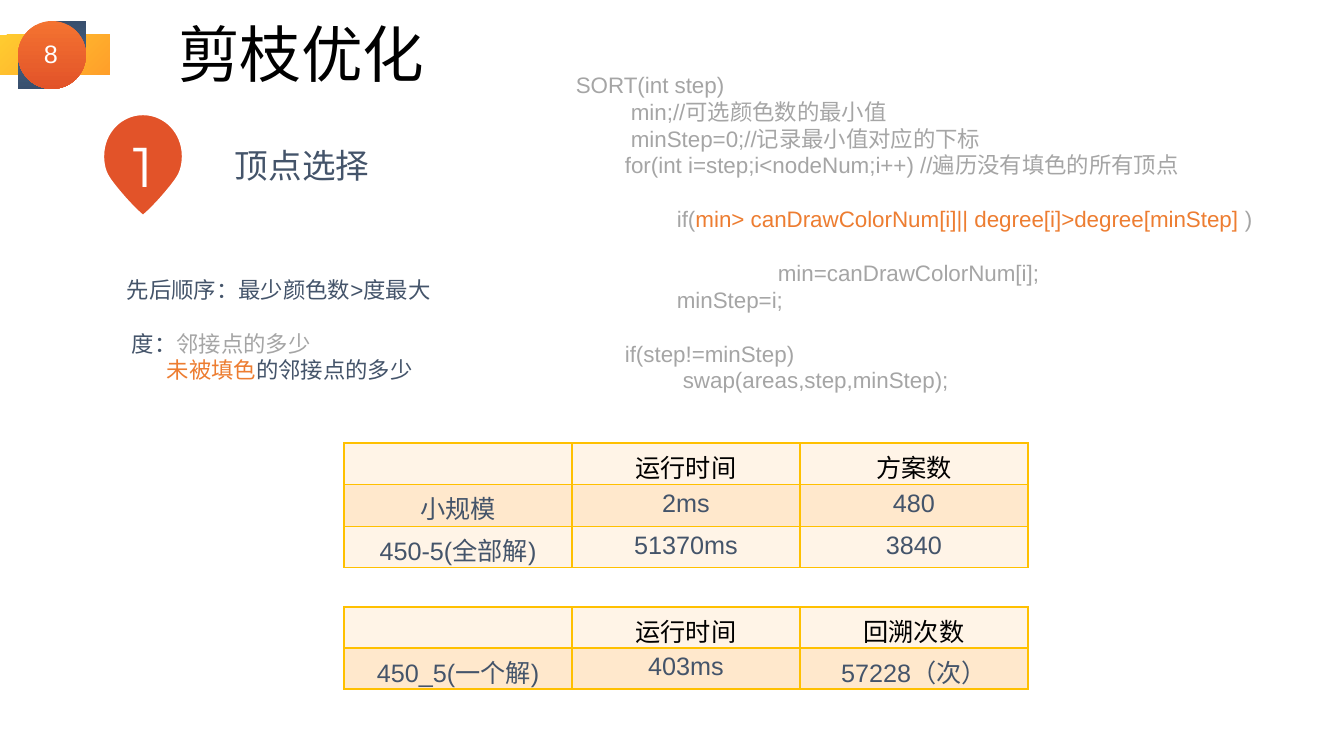
from dataclasses import dataclass

from lxml import etree
from pptx import Presentation
from pptx.dml.color import RGBColor
from pptx.enum.shapes import MSO_SHAPE
from pptx.enum.text import MSO_ANCHOR, PP_ALIGN
from pptx.oxml.ns import qn
from pptx.util import Pt

PX = 914400 / 100.8
RECTANGLE, TEAR, OVAL = MSO_SHAPE.RECTANGLE, MSO_SHAPE.TEAR, MSO_SHAPE.OVAL
LEFT, CENTER = PP_ALIGN.LEFT, PP_ALIGN.CENTER
TOP, MIDDLE = MSO_ANCHOR.TOP, MSO_ANCHOR.MIDDLE


@dataclass(frozen=True)
class Theme:
    font: str = "Arial"
    numeral_font: str = "Montserrat"
    black: str = "000000"
    white: str = "FFFFFF"
    slate: str = "44546A"
    gray: str = "A5A5A5"
    orange: str = "ED7D31"
    pin: str = "E25329"
    border: str = "FFC000"
    bands: tuple = ("FFF4E7", "FFE8CC")
    ribbon: tuple = ("FFCC30", "FF9F2A")
    navy: tuple = ("384F6E", "4A6C90")
    disc: tuple = ("F47331", "E25329")
    title: int = 44
    numeral: int = 40
    heading: int = 24
    table: int = 18
    body: int = 16
    body_line: float = 19.2


THEME = Theme()

# Each line: indent in px, blank lines above, then (text, colour) runs.
CODE_LINES = [
    (0, 0, [("SORT(int step)", THEME.gray)]),
    (55, 0, [("min;//可选颜色数的最小值", THEME.gray)]),
    (55, 0, [("minStep=0;//记录最小值对应的下标", THEME.gray)]),
    (49, 0, [("for(int i=step;i<nodeNum;i++) //遍历没有填色的所有顶点", THEME.gray)]),
    (101, 1, [("if(", THEME.gray),
              ("min> canDrawColorNum[i]|| degree[i]>degree[minStep] ", THEME.orange),
              (")", THEME.gray)]),
    (202, 1, [("min=canDrawColorNum[i];", THEME.gray)]),
    (101, 0, [("minStep=i;", THEME.gray)]),
    (49, 1, [("if(step!=minStep)", THEME.gray)]),
    (107, 0, [("swap(areas,step,minStep);", THEME.gray)]),
]
ORDER_LINES = [
    (0, 0, [("先后顺序：最少颜色数>度最大", THEME.slate)]),
    (5, 1, [("度：", THEME.slate), ("邻接点的多少", THEME.gray)]),
    (40, 0, [("未被填色", THEME.orange), ("的邻接点的多少", THEME.slate)]),
]
ALL_SOLUTIONS = [
    ("", "运行时间", "方案数"),
    ("小规模", "2ms", "480"),
    ("450-5(全部解)", "51370ms", "3840"),
]
ONE_SOLUTION = [
    ("", "运行时间", "回溯次数"),
    ("450_5(一个解)", "403ms", "57228（次）"),
]


def px(length):
    return round(length * PX)


def emu(box):
    return [px(length) for length in box]


def rgb(color):
    return RGBColor.from_string(color)


def style(paragraph, size, color, alignment=LEFT, font=THEME.font):
    paragraph.alignment = alignment
    paragraph.font.name = font
    paragraph.font.size = Pt(size)
    paragraph.font.color.rgb = rgb(color)


def write(shape, text, size, color, alignment=LEFT, font=THEME.font, anchor=TOP):
    frame = shape.text_frame
    frame.word_wrap = False
    frame.vertical_anchor = anchor
    frame.text = text
    style(frame.paragraphs[0], size, color, alignment, font)


def add_gradient_shape(slide, kind, box, colors, angle, rotation=0):
    shape = slide.shapes.add_shape(kind, *emu(box))
    shape.shadow.inherit = False
    shape.rotation = rotation
    shape.line.fill.background()
    shape.fill.gradient()
    shape.fill.gradient_angle = 360 - angle
    for stop, color in zip(shape.fill.gradient_stops, colors):
        stop.color.rgb = rgb(color)


def add_page_badge(slide, box, number):
    left, top, width, height = box
    add_gradient_shape(slide, RECTANGLE, (left, top + 14, width, 40), THEME.ribbon, 45)
    add_gradient_shape(slide, TEAR, (left + 28, top, 58, 58), THEME.navy, 90)
    add_gradient_shape(slide, TEAR, (left + 18, top + 10, 58, 58), THEME.navy, 90, 180)
    add_gradient_shape(slide, OVAL, (left + 18, top, height, height), THEME.disc, 90)
    label = slide.shapes.add_textbox(*emu((left + 25, top + 12, 52, 40)))
    write(label, number, THEME.table, THEME.white, CENTER)


def add_title(slide, box, text):
    title = slide.shapes.title
    title.left, title.top, title.width, title.height = emu(box)
    write(title, text, THEME.title, THEME.black)


def curve_points(start, first, second, end, steps=16):
    for step in range(1, steps + 1):
        t = step / steps
        weights = ((1 - t) ** 3, 3 * t * (1 - t) ** 2, 3 * t * t * (1 - t), t ** 3)
        yield tuple(sum(w * point[axis] for w, point in
                        zip(weights, (start, first, second, end))) for axis in (0, 1))


def add_pin(slide, box, numeral):
    left, top, width, _ = box
    controls = [(43, 0), (67, 0), (86, 20), (86, 45), (86, 54), (84, 62), (80, 68),
                (76, 75), (56, 99), (43, 109)]
    right_side = [point for i in range(0, 9, 3) for point in curve_points(*controls[i:i + 4])]
    left_side = [(width - x, y) for x, y in reversed(right_side[:-1])]
    outline = [emu((left + x, top + y)) for x, y in right_side + left_side]
    builder = slide.shapes.build_freeform(px(left + 43), px(top))
    builder.add_line_segments(outline, close=True)
    pin = builder.convert_to_shape()
    pin.shadow.inherit = False
    pin.fill.solid()
    pin.fill.fore_color.rgb = rgb(THEME.pin)
    pin.line.color.rgb = rgb(THEME.white)
    pin.line.width = Pt(6)
    write(pin, numeral, THEME.numeral, THEME.white, CENTER, THEME.numeral_font, MIDDLE)


def add_heading(slide, box, text):
    heading = slide.shapes.add_textbox(*emu(box))
    write(heading, text, THEME.heading, THEME.slate)


def add_lines(slide, box, lines):
    frame = slide.shapes.add_textbox(*emu(box)).text_frame
    frame.word_wrap = True
    for index, (indent, blanks, runs) in enumerate(lines):
        paragraph = frame.add_paragraph() if index else frame.paragraphs[0]
        style(paragraph, THEME.body, runs[0][1])
        paragraph.line_spacing = Pt(THEME.body_line)
        paragraph.space_before = Pt(blanks * THEME.body_line)
        paragraph._p.get_or_add_pPr().set("marL", str(px(indent)))
        for text, color in runs:
            run = paragraph.add_run()
            run.text = text
            run.font.color.rgb = rgb(color)


def add_borders(cell):
    properties = cell._tc.get_or_add_tcPr()
    for index, side in enumerate(("a:lnL", "a:lnR", "a:lnT", "a:lnB")):
        line = etree.Element(qn(side), w=str(Pt(1)))
        fill = etree.SubElement(line, qn("a:solidFill"))
        etree.SubElement(fill, qn("a:srgbClr"), val=THEME.border)
        properties.insert(index, line)


def add_result_table(slide, box, rows):
    table = slide.shapes.add_table(len(rows), len(rows[0]), *emu(box)).table
    table.first_row = table.horz_banding = False
    for row_index, row in enumerate(rows):
        for column_index, text in enumerate(row):
            cell = table.cell(row_index, column_index)
            cell.text = text
            color = THEME.slate if row_index else THEME.black
            style(cell.text_frame.paragraphs[0], THEME.table, color, CENTER)
            cell.fill.solid()
            cell.fill.fore_color.rgb = rgb(THEME.bands[row_index % 2])
            add_borders(cell)


def add_pruning_slide(presentation):
    slide = presentation.slides.add_slide(presentation.slide_layouts[5])
    add_page_badge(slide, (0, 21, 110, 68), "8")
    add_title(slide, (168, 11, 269, 85), "剪枝优化")
    add_pin(slide, (100, 111, 86, 109), "1")
    add_heading(slide, (225, 140, 156, 50), "顶点选择")
    add_lines(slide, (566, 66, 711, 363), CODE_LINES)
    add_lines(slide, (117, 271, 328, 119), ORDER_LINES)
    add_result_table(slide, (344, 443, 684, 125), ALL_SOLUTIONS)
    add_result_table(slide, (344, 607, 684, 82), ONE_SOLUTION)


def main():
    presentation = Presentation()
    presentation.slide_width, presentation.slide_height = emu((1344, 756))
    add_pruning_slide(presentation)
    presentation.save("out.pptx")


if __name__ == "__main__":
    main()
